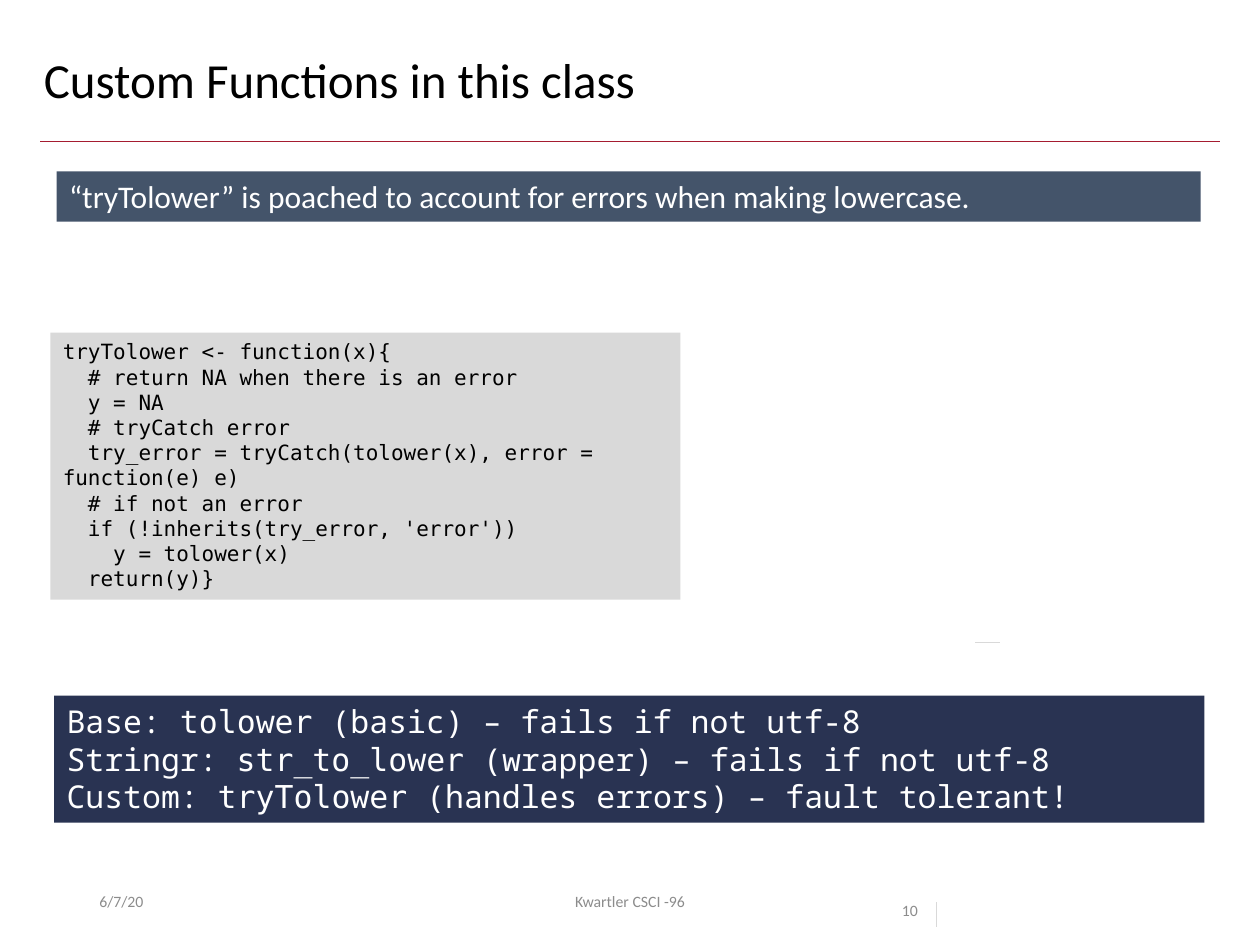
"""Build the slide on custom lowercase functions in R."""
from lxml import etree
from pptx import Presentation
from pptx import util as u
from pptx.dml.color import RGBColor
from pptx.enum import shapes, text
from pptx.oxml import ns

BLACK = RGBColor(0x00, 0x00, 0x00)
WHITE = RGBColor(0xFF, 0xFF, 0xFF)
GREY = RGBColor(0x8C, 0x8C, 0x8C)
PALE = RGBColor(0xD9, 0xD9, 0xD9)
SLATE = RGBColor(0x44, 0x54, 0x6A)
NAVY = RGBColor(0x29, 0x33, 0x52)
CRIMSON = RGBColor(0xA5, 0x1C, 0x30)
CODE_FONT = "DejaVu Sans Mono"
NOTE_FONT = "Noto Sans Mono"

deck = Presentation()
deck.slide_width, deck.slide_height = u.Inches(10), u.Inches(7.5)
page = deck.slides.add_slide(deck.slide_layouts[6])


def add_text(lines, place, size, font="Calibri", color=BLACK, fill=None,
             anchor=text.MSO_ANCHOR.TOP, align=text.PP_ALIGN.LEFT, spacing=None):
    """Add a box; each line is a string or a list of (wording, font) spans."""
    place = [u.Inches(length) for length in place]
    if fill is None:
        box = page.shapes.add_textbox(*place)
    else:
        box = page.shapes.add_shape(shapes.MSO_SHAPE.RECTANGLE, *place)
        box.shadow.inherit = False
        box.fill.solid()
        box.fill.fore_color.rgb = fill
        box.line.fill.background()
    frame = box.text_frame
    frame.word_wrap = True
    frame.vertical_anchor = anchor
    for index, line in enumerate(lines):
        para = frame.add_paragraph() if index else frame.paragraphs[0]
        para.alignment = align
        if spacing:
            para.line_spacing = spacing
        for wording, face in [(line, font)] if isinstance(line, str) else line:
            span = para.add_run()
            span.text = wording
            span.font.name = face
            span.font.size = u.Pt(size)
            span.font.color.rgb = color


rules = [
    (0.32, 1.12, 9.68, 1.12, CRIMSON),
    (7.43, 7.16, 7.43, 7.36, PALE),
    (7.74, 5.1, 7.94, 5.1, PALE),
]
for *ends, color in rules:
    rule = page.shapes.add_connector(
        shapes.MSO_CONNECTOR.STRAIGHT, *[u.Inches(end) for end in ends])
    rule.line.color.rgb = color
    rule.line.width = u.Pt(0.5)
    etree.SubElement(rule.element.spPr, ns.qn("a:effectLst"))

add_text(["Custom Functions in this class"], (0.25, 0.4, 9.47, 0.65), 28, spacing=0.9)
add_text(["“tryTolower” is poached to account for errors when making lowercase."],
         (0.45, 1.36, 9.08, 0.4), 18, color=WHITE, fill=SLATE)

code = """tryTolower <- function(x){
  # return NA when there is an error
  y = NA
  # tryCatch error
  try_error = tryCatch(tolower(x), error = function(e) e)
  # if not an error
  if (!inherits(try_error, 'error'))
    y = tolower(x)
  return(y)}"""
add_text(code.split("\n"), (0.4, 2.64, 5, 2.12), 12, font=CODE_FONT, fill=PALE)

options = [
    ("Base: ", "tolower", " (basic) – fails if not utf-8"),
    ("Stringr: ", "str_to_lower", " (wrapper) – fails if not utf-8"),
    ("Custom: ", "tryTolower", " (handles errors) – fault tolerant!"),
]
add_text([list(zip(option, (NOTE_FONT, CODE_FONT, NOTE_FONT))) for option in options],
         (0.43, 5.52, 9.13, 1.01), 18, color=WHITE, fill=NAVY)

add_text(["6/7/20"], (0.69, 6.95, 2.25, 0.4), 9, color=GREY,
         anchor=text.MSO_ANCHOR.MIDDLE)
add_text(["Kwartler CSCI -96"], (3.31, 6.95, 3.38, 0.4), 9, color=GREY,
         anchor=text.MSO_ANCHOR.MIDDLE, align=text.PP_ALIGN.CENTER)
add_text(["10"], (7.06, 6.95, 0.94, 0.4), 9, color=GREY, spacing=2.0)

deck.save("out.pptx")
